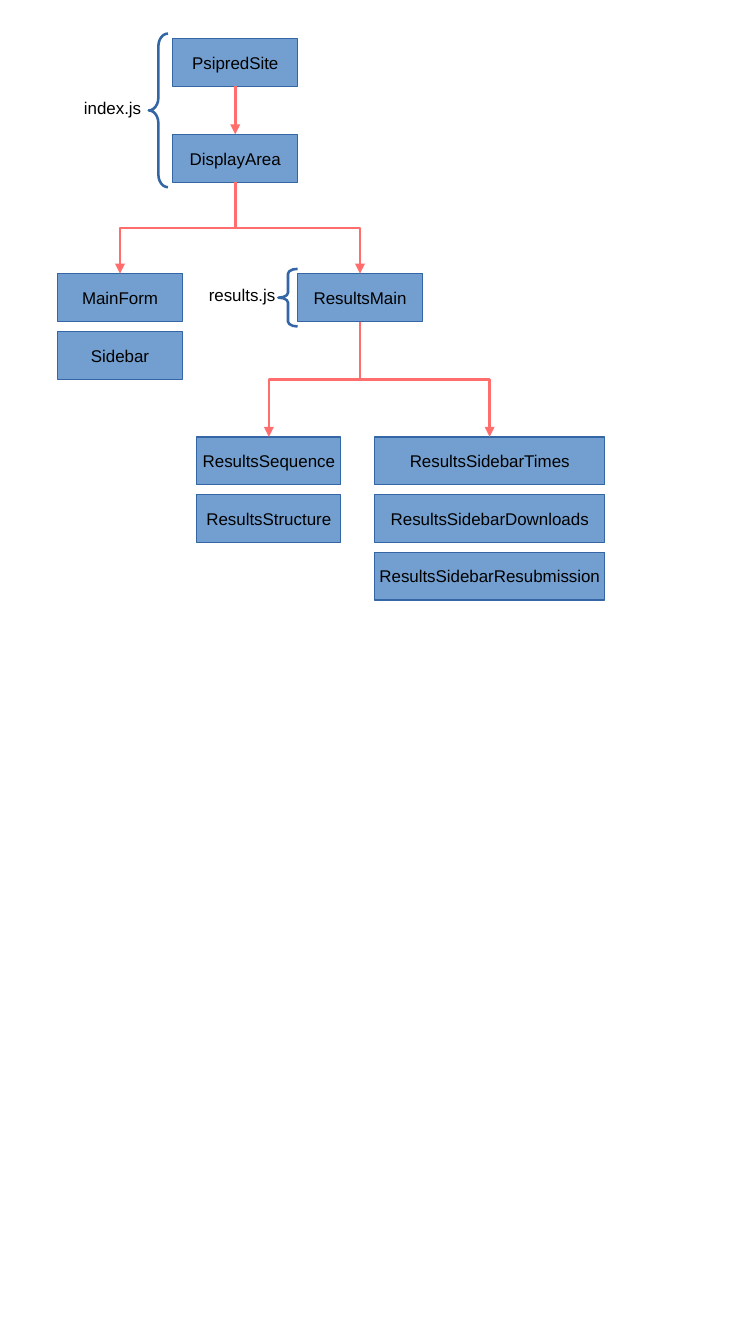
from lxml.etree import SubElement
from pptx import Presentation
from pptx.dml.color import RGBColor
from pptx.enum.shapes import MSO_CONNECTOR as Link, MSO_SHAPE as Preset
from pptx.enum.text import MSO_ANCHOR as Anchor, PP_ALIGN as Align
from pptx.oxml.ns import qn
from pptx.util import Cm, Inches, Pt

BOX_FILL = RGBColor(0x72, 0x9F, 0xCF)
OUTLINE = RGBColor(0x34, 0x65, 0xA4)
ARROW = RGBColor(0xFF, 0x6D, 0x6D)
INK = RGBColor(0x00, 0x00, 0x00)

BOX_HEIGHT = 1
STACK_STEP = 1.2
BOTTOM_SITE, TOP_SITE = 2, 0


class ComponentTree:
    """Draws on a grid whose columns and rows are one centimetre each."""

    font_name = "Arial"
    font_size = Pt(10)
    stroke = Pt(1.5)

    def __init__(self, slide):
        self.shapes = slide.shapes

    def set_text(self, frame, wording, align):
        frame.word_wrap = False
        frame.text = wording
        paragraph = frame.paragraphs[0]
        paragraph.alignment = align
        font = paragraph.font
        font.name, font.size = self.font_name, self.font_size
        font.color.rgb = INK

    def stack(self, column, row, width, names):
        """Pile one box per component name downwards and return the top box."""
        boxes = []
        for index, name in enumerate(names):
            box = self.shapes.add_shape(
                Preset.RECTANGLE, Cm(column), Cm(row + index * STACK_STEP),
                Cm(width), Cm(BOX_HEIGHT))
            box.shadow.inherit = False
            box.fill.solid()
            box.fill.fore_color.rgb = BOX_FILL
            box.line.color.rgb = OUTLINE
            box.line.width = 0
            box.text_frame.vertical_anchor = Anchor.MIDDLE
            self.set_text(box.text_frame, name, Align.CENTER)
            boxes.append(box)
        return boxes[0]

    def arrow(self, parent, child):
        """Link the bottom of parent to the top of child, bending halfway down."""
        x1, y1 = parent.left + parent.width // 2, parent.top + parent.height
        x2, y2 = child.left + child.width // 2, child.top
        kind = Link.STRAIGHT if x1 == x2 else Link.ELBOW
        link = self.shapes.add_connector(kind, x1, y1, x2, y2)
        link.begin_connect(parent, BOTTOM_SITE)
        link.end_connect(child, TOP_SITE)
        if kind == Link.ELBOW:
            self.turn_downwards(link, x1, y1, x2, y2)
        link.line.color.rgb = ARROW
        link.line.width = self.stroke
        properties = link._element.spPr
        SubElement(properties.find(qn("a:ln")), qn("a:tailEnd"), type="triangle")
        SubElement(properties, qn("a:effectLst"))

    @staticmethod
    def turn_downwards(link, x1, y1, x2, y2):
        """Rotate an elbow so that it leaves and arrives vertically."""
        link.width, link.height = y2 - y1, abs(x2 - x1)
        link.left = (x1 + x2 - link.width) // 2
        link.top = (y1 + y2 - link.height) // 2
        frame = link._element.spPr.find(qn("a:xfrm"))
        frame.flipH = x2 > x1
        frame.rot = 270 if x2 > x1 else 90

    def brace(self, column, row, height, curl):
        brace = self.shapes.add_shape(
            Preset.LEFT_BRACE, Cm(column), Cm(row), Cm(0.4), Cm(height))
        brace.shadow.inherit = False
        brace.fill.background()
        brace.line.color.rgb = OUTLINE
        brace.line.width = self.stroke
        brace.adjustments[0] = curl

    def file_label(self, column, row, width, name):
        label = self.shapes.add_textbox(Cm(column), Cm(row), Cm(width), Cm(0.64))
        self.set_text(label.text_frame, name, Align.LEFT)


def main():
    deck = Presentation()
    deck.slide_width, deck.slide_height = Inches(6.2), Inches(11.02)
    tree = ComponentTree(deck.slides.add_slide(deck.slide_layouts[6]))

    site = tree.stack(3.6, 0.8, 2.6, ["PsipredSite"])
    display = tree.stack(3.6, 2.8, 2.6, ["DisplayArea"])
    form = tree.stack(1.2, 5.7, 2.6, ["MainForm", "Sidebar"])
    results = tree.stack(6.2, 5.7, 2.6, ["ResultsMain"])
    sidebar = tree.stack(7.8, 9.1, 4.8, [
        "ResultsSidebarTimes", "ResultsSidebarDownloads",
        "ResultsSidebarResubmission"])
    sequence = tree.stack(4.1, 9.1, 3, ["ResultsSequence", "ResultsStructure"])

    for parent, child in [(site, display), (display, form), (display, results),
                          (results, sidebar), (results, sequence)]:
        tree.arrow(parent, child)

    tree.brace(3.1, 0.7, 3.2, curl=0.66)
    tree.file_label(1.5, 1.9, 1.7, "index.js")
    tree.brace(5.8, 5.6, 1.2, curl=0.25)
    tree.file_label(4.1, 5.8, 1.9, "results.js")

    deck.save("out.pptx")


if __name__ == "__main__":
    main()
